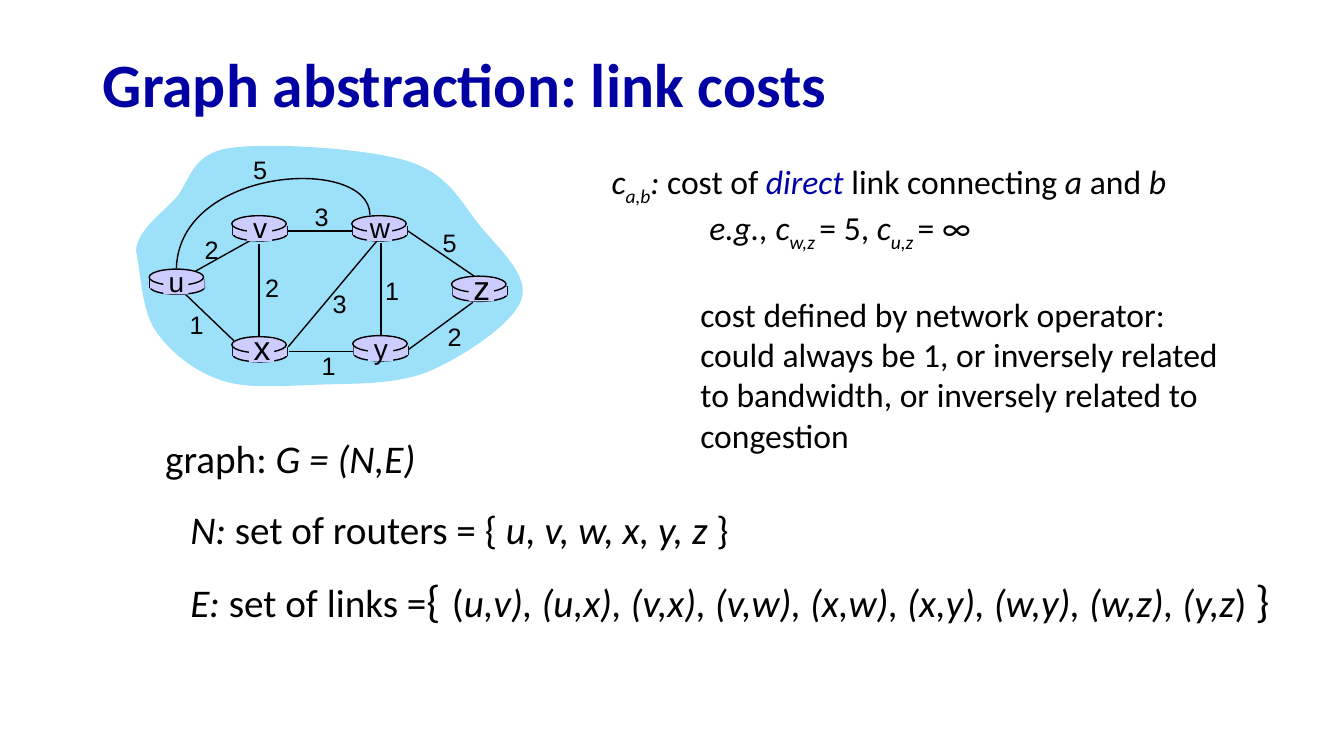
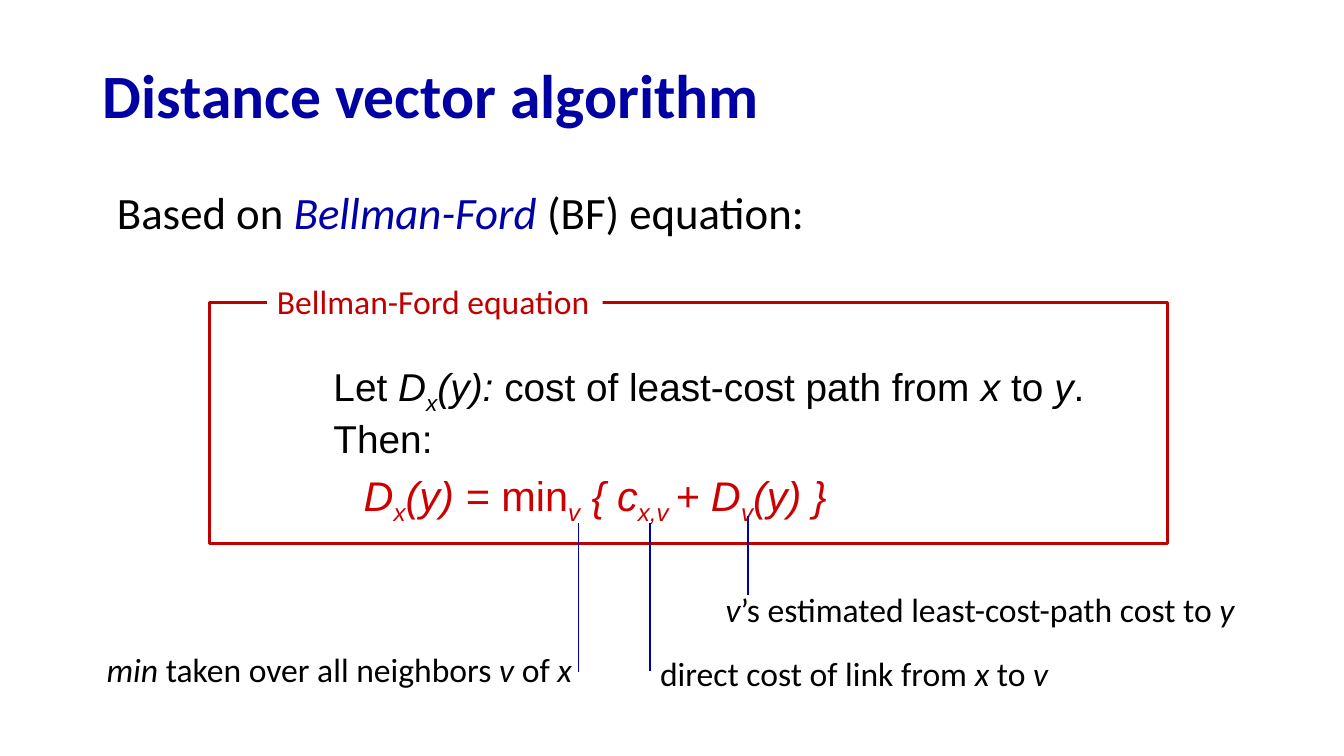
from collections import namedtuple

from lxml import etree
from pptx import Presentation
from pptx.dml.color import RGBColor
from pptx.enum.shapes import MSO_CONNECTOR, MSO_SHAPE
from pptx.enum.text import MSO_ANCHOR, MSO_AUTO_SIZE, PP_ALIGN
from pptx.oxml.ns import qn
from pptx.util import Pt

PX = 9144  # 100 px to the inch

TITLE_BLUE = RGBColor(0x00, 0x00, 0xA3)
ACCENT_BLUE = RGBColor(0x00, 0x00, 0xA8)
BLACK = RGBColor(0x00, 0x00, 0x00)
WHITE = RGBColor(0xFF, 0xFF, 0xFF)
CLOUD_BLUE = RGBColor(0x9C, 0xE0, 0xFA)
ROUTER_LILAC = RGBColor(0xCC, 0xCC, 0xFF)
FRAME_RED = RGBColor(0xC0, 0x00, 0x00)
FORMULA_RED = RGBColor(0xCC, 0x00, 0x00)

Box = namedtuple("Box", "left top width height")
Router = namedtuple("Router", "left top letter_x letter_y size")

# Cubic outlines: a start, then two control points and an end per segment
CLOUD = [
    (0, 108),
    (1, 88), (23, 73), (39, 56), (54, 39), (54, 12), (92, 6),
    (131, 0), (228, 6), (270, 19), (311, 32), (323, 61), (342, 84),
    (361, 107), (391, 133), (382, 157), (373, 181), (323, 214), (289, 228),
    (254, 242), (207, 239), (173, 241), (138, 242), (107, 245), (81, 235),
    (56, 226), (32, 207), (18, 185), (5, 164), (4, 124), (0, 108),
]
ARC = [(232, 72), (231, 13), (43, 24), (40, 125)]
ARC_COST = ("5", (123, 27))

ROUTERS = {  # letter centres are measured from the router's corner
    "u": Router(13, 126, 27, 12, 20), "y": Router(215, 192, 28, 13, 20),
    "x": Router(95, 193, 30, 10, 24), "w": Router(214, 73, 28, 12, 20),
    "v": Router(95, 73, 28, 12, 20), "z": Router(313, 133, 30, 11, 24),
}
LINKS = [  # start, end, cost, centre of the cost label
    ((59, 128), (118, 95), "2", (75, 106)),
    ((49, 151), (97, 197), "1", (60, 181)),
    ((122, 101), (122, 194), "2", (135, 144)),
    ((151, 88), (215, 88), "3", (184, 74)),
    ((151, 203), (239, 98), "3", (202, 160)),
    ((152, 208), (216, 208), "1", (191, 222)),
    ((243, 100), (243, 191), "1", (254, 147)),
    ((268, 87), (337, 134), "5", (311, 100)),
    ((270, 206), (334, 159), "2", (316, 193)),
]


def emu(*lengths):
    return [length * PX for length in lengths]


def add_runs(paragraph, runs, size, font="Calibri", color=BLACK):
    """Add (text, flags, size) runs; flags: i italic, _ subscript, a accent."""
    for text, flags, *own_size in runs:
        run = paragraph.add_run()
        run.text = text
        run.font.name = font
        run.font.size = Pt(own_size[0] if own_size else size)
        run.font.italic = "i" in flags
        run.font.color.rgb = ACCENT_BLUE if "a" in flags else color
        if "_" in flags:
            run.font._element.set("baseline", "-25000")


def set_indent(paragraph, left):
    properties = paragraph._p.get_or_add_pPr()
    properties.set("marL", str(left * PX))
    properties.set("indent", "0")


def add_text(slide, box, runs=(), size=24, wrap=True, **style):
    text_box = slide.shapes.add_textbox(*emu(*box))
    text_box.text_frame.word_wrap = wrap
    add_runs(text_box.text_frame.paragraphs[0], runs, size, **style)
    return text_box


def add_centred(slide, centre, text, size):
    x, y = centre
    label = add_text(slide, Box(x - 20, y - 25, 40, 50), [(text, "")], size,
                     wrap=False, font="Arial")
    label.text_frame.vertical_anchor = MSO_ANCHOR.MIDDLE
    label.text_frame.paragraphs[0].alignment = PP_ALIGN.CENTER


def paint(shape, fill=None, line=None, width=1):
    shape.shadow.inherit = False
    if fill is None:
        shape.fill.background()
    else:
        shape.fill.solid()
        shape.fill.fore_color.rgb = fill
    if line is None:
        shape.line.fill.background()
    else:
        shape.line.color.rgb = line
        shape.line.width = Pt(width)


def add_preset(slide, preset, box, **look):
    paint(slide.shapes.add_shape(preset, *emu(*box)), **look)


def add_line(slide, start, end, color=BLACK):
    line = slide.shapes.add_connector(MSO_CONNECTOR.STRAIGHT, *emu(*start, *end))
    line.line.color.rgb = color
    line.line.width = Pt(1)
    etree.SubElement(line._element.spPr, qn("a:effectLst"))


def add_curve(slide, points, close, **look):
    """Build the control polygon, then turn each three lines into one cubic."""
    start, *rest = [tuple(emu(*point)) for point in points]
    builder = slide.shapes.build_freeform(*start)
    builder.add_line_segments(rest, close=close)
    shape = builder.convert_to_shape()
    lines = list(shape._element.iter(qn("a:lnTo")))
    for first in range(0, len(lines), 3):
        cubic = etree.Element(qn("a:cubicBezTo"))
        lines[first].addprevious(cubic)
        for line in lines[first:first + 3]:
            cubic.append(line[0])
            line.getparent().remove(line)
    paint(shape, **look)


def set_title(slide, text, box):
    title = slide.shapes.title
    title.left, title.top, title.width, title.height = emu(*box)
    frame = title.text_frame
    frame.text = text
    frame.auto_size = MSO_AUTO_SIZE.NONE
    frame.vertical_anchor = MSO_ANCHOR.MIDDLE
    paragraph = frame.paragraphs[0]
    paragraph.alignment = PP_ALIGN.LEFT
    paragraph.line_spacing = 0.9
    font = paragraph.runs[0].font
    font.name, font.size, font.bold = "Calibri", Pt(44), True
    font.color.rgb = TITLE_BLUE


def add_router(slide, left, top):
    add_preset(slide, MSO_SHAPE.OVAL, Box(left + 1, top + 11, 54, 14),
               fill=ROUTER_LILAC, line=BLACK)
    for side in (left + 1, left + 55):
        add_line(slide, (side, top + 10), (side, top + 19))
    add_preset(slide, MSO_SHAPE.RECTANGLE, Box(left + 1, top + 10, 54, 9),
               fill=ROUTER_LILAC)
    add_preset(slide, MSO_SHAPE.OVAL, Box(left, top, 54, 16),
               fill=ROUTER_LILAC, line=BLACK)


def add_network(slide, left, top):
    def place(point):
        return left + point[0], top + point[1]

    add_curve(slide, [place(point) for point in CLOUD], True, fill=CLOUD_BLUE)
    for start, end, _, _ in LINKS:
        add_line(slide, place(start), place(end))
    for router in ROUTERS.values():
        add_router(slide, *place(router))
    add_curve(slide, [place(point) for point in ARC], False, line=BLACK)
    for name, router in ROUTERS.items():
        x, y = place(router)
        add_preset(slide, MSO_SHAPE.RECTANGLE, Box(x + router.letter_x - 13, y + 2, 25, 23),
                   fill=ROUTER_LILAC)
        add_centred(slide, (x + router.letter_x, y + router.letter_y), name, router.size)
    for cost, centre in [link[2:] for link in LINKS] + [ARC_COST]:
        add_centred(slide, place(centre), cost, 18)


def add_cost_notes(slide, box):
    frame = add_text(slide, box, [
        ("c", "i"), ("a,b", "i_"), (": ", "i"), ("cost of ", ""), ("direct", "ia"),
        (" link connecting ", ""), ("a", "i"), (" and ", ""), ("b", "i"),
    ]).text_frame
    example = frame.add_paragraph()
    set_indent(example, 97)
    add_runs(example, [("e.g., c", "i"), ("w,z ", "i_"), ("= 5, ", ""), ("c", "i"),
                       ("u,z ", "i_"), ("= ∞", "")], 24)
    operator = frame.add_paragraph()
    set_indent(operator, 88)
    operator.space_before = Pt(29)
    add_runs(operator, [("cost defined by network operator: could always be 1, or inversely "
                         "related to bandwidth, or inversely related to congestion", "")], 24)


def add_graph_sets(slide, left, top):
    add_text(slide, Box(left, top, 271, 104), [("graph: ", ""), ("G = (N,E)", "i")], 28)
    add_text(slide, Box(left + 25, top + 70, 559, 57), [
        ("N: ", "i"), ("set of routers = { ", ""), ("u, v, w, x, y, z ", "i"), ("}", "")], 28)
    add_text(slide, Box(left + 25, top + 132, 1102, 71), [
        ("E: ", "i"), ("set of links =", ""), ("{", "", 32), (" ", "", 36), ("(", ""),
        ("u,v), (u,x), (v,x), (v,w), (x,w), (x,y), (w,y), (w,z), (y,z", "i"),
        (") ", ""), ("}", "", 32)], 28)


def set_lead(slide, box):
    lead = slide.placeholders[1]
    lead.left, lead.top, lead.width, lead.height = emu(*box)
    frame = lead.text_frame
    frame.auto_size = MSO_AUTO_SIZE.NONE
    paragraph = frame.paragraphs[0]
    set_indent(paragraph, 14)
    etree.SubElement(paragraph._p.get_or_add_pPr(), qn("a:buNone"))
    paragraph.line_spacing = 0.8
    paragraph.space_before = Pt(0)
    add_runs(paragraph, [("Based on ", ""), ("Bellman-Ford", "ia"), (" (BF) equation:", "")], 32)


def add_equation(slide, box):
    frame = add_text(slide, Box(box.left + 99, box.top + 60, 870, 216)).text_frame
    lines = [
        (14, 27.7, BLACK, [
            ("Let ", ""), ("D", "i"), ("x", "i_"), ("(y): ", "i"),
            ("cost of least-cost path from ", ""), ("x", "i"), (" to ", ""),
            ("y", "i"), (".", "")]),
        (14, 27.7, BLACK, [("Then:", "")]),
        (44, 29.6, FORMULA_RED, [
            ("D", "i"), ("x", "i_"), ("(y) = ", "i"), ("min", ""), ("v", "i_"),
            (" { c", "i"), ("x,v ", "i_"), ("+ D", "i"), ("v", "i_"), ("(y) }", "i")]),
    ]
    for number, (indent, size, color, runs) in enumerate(lines):
        paragraph = frame.add_paragraph() if number else frame.paragraphs[0]
        set_indent(paragraph, indent)
        paragraph.line_spacing = 0.8
        paragraph.space_before = Pt(10 if number else 0)
        add_runs(paragraph, runs, size, font="Arial", color=color)

    add_preset(slide, MSO_SHAPE.RECTANGLE, box, line=FRAME_RED, width=2)
    caption = add_text(slide, Box(box.left + 57, box.top - 26, 333, 50),
                       [("Bellman-Ford equation", "")], color=FRAME_RED)
    caption.fill.solid()
    caption.fill.fore_color.rgb = WHITE


def add_callout(slide, box, runs, line_x, line_top, line_bottom):
    add_text(slide, box, runs)
    add_line(slide, (line_x, line_top), (line_x, line_bottom), ACCENT_BLUE)


def build_link_costs(slide):
    set_title(slide, "Graph abstraction: link costs", Box(92, 38, 750, 98))
    add_network(slide, 135, 141)
    add_graph_sets(slide, 154, 426)
    add_cost_notes(slide, Box(597, 155, 644, 293))


def build_distance_vector(slide):
    set_lead(slide, Box(92, 189, 1183, 57))
    set_title(slide, "Distance vector algorithm", Box(92, 49, 1150, 98))
    add_equation(slide, Box(208, 300, 950, 239))
    add_callout(slide, Box(96, 639, 486, 50), [
        ("min", "i"), (" taken over all neighbors", ""), (" v ", "i"), ("of ", ""), ("x", "i"),
    ], 574, 519, 667)
    add_callout(slide, Box(710, 579, 531, 50), [
        ("v", "i"), ("’s estimated least-cost-path cost to ", ""), ("y", "i"),
    ], 742, 512, 590)
    add_callout(slide, Box(645, 643, 408, 50), [
        ("direct cost of link from", ""), (" x ", "i"), ("to ", ""), ("v", "i"),
    ], 645, 519, 666)


def main():
    presentation = Presentation()
    presentation.slide_height = 750 * PX
    presentation.slide_width = presentation.slide_height * 16 // 9
    title_and_body, title_only = (presentation.slide_layouts[n] for n in (1, 5))
    build_link_costs(presentation.slides.add_slide(title_only))
    build_distance_vector(presentation.slides.add_slide(title_and_body))
    presentation.save("out.pptx")


if __name__ == "__main__":
    main()
